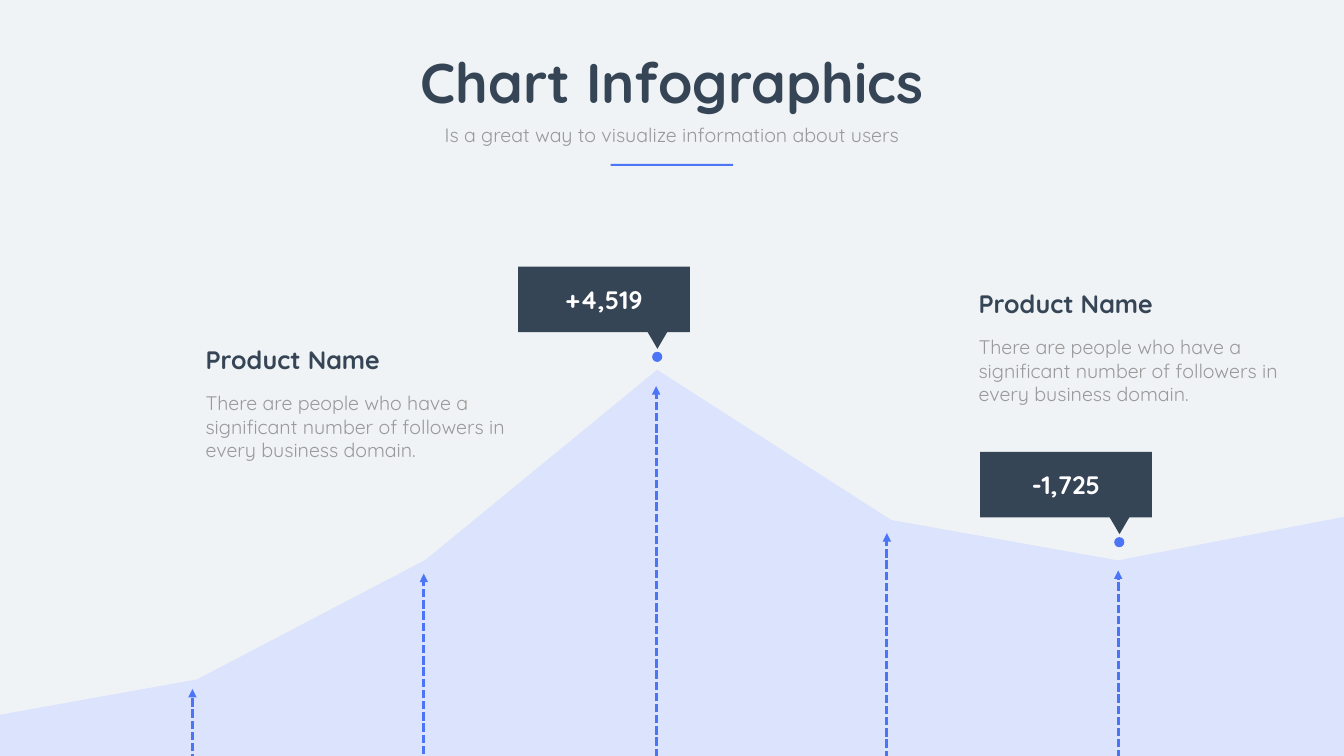
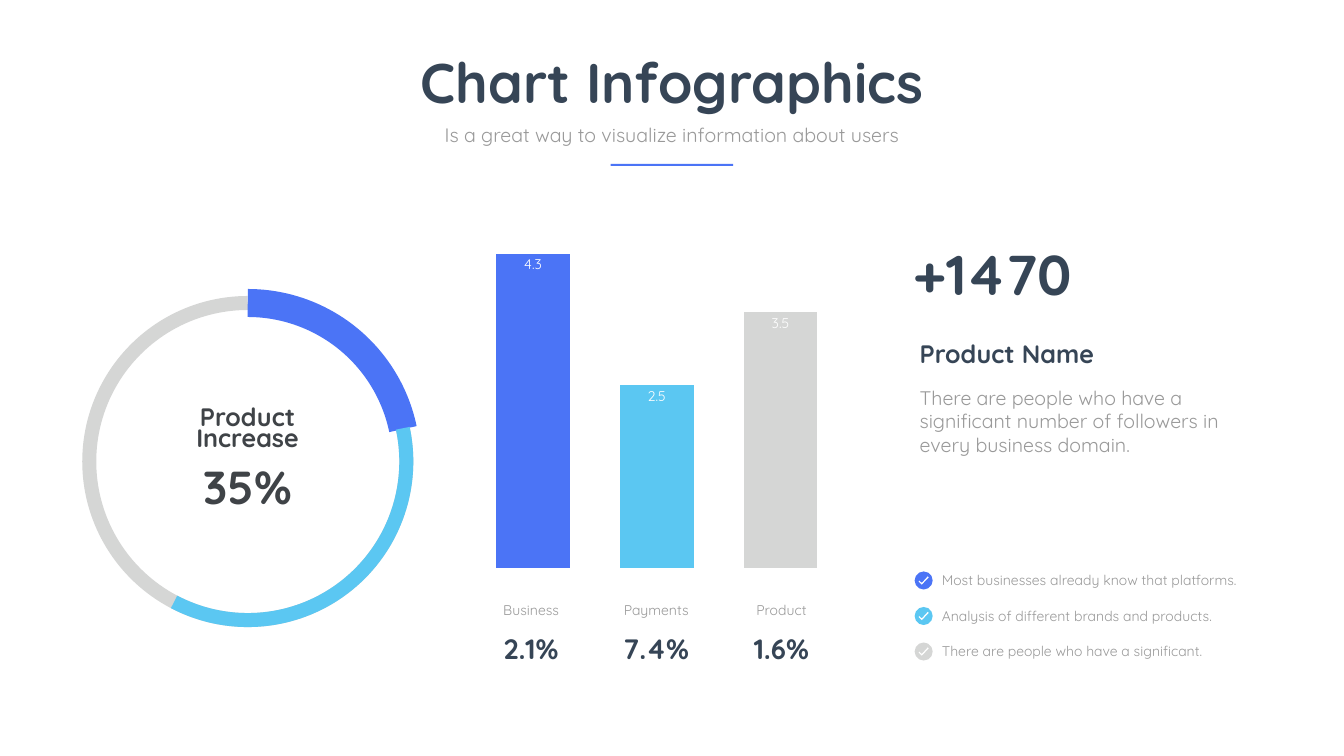
"""Build two chart infographic slides: a growth curve and a share overview."""
from dataclasses import dataclass

from lxml.etree import SubElement
from pptx import Presentation
from pptx.chart.data import CategoryChartData
from pptx.dml.color import RGBColor
from pptx.enum.chart import XL_CHART_TYPE as ChartType, XL_LABEL_POSITION as LabelPos
from pptx.enum.dml import MSO_LINE as Dash
from pptx.enum.shapes import MSO_CONNECTOR as Link, MSO_SHAPE as Kind
from pptx.enum.text import MSO_ANCHOR as Anchor, MSO_AUTO_SIZE as AutoSize, PP_ALIGN as Align
from pptx.oxml.ns import qn
from pptx.util import Cm, Pt

FONT = "Quicksand"
NAVY, BLUE, SKY, SILVER = "364556", "4B74F6", "5BC7F2", "D5D6D5"
GREY, CHARCOAL, WHITE, MIST, LAVENDER = "999999", "3F4347", "FFFFFF", "EDF0F3", "DBE3FD"
BLURB = "There are people who have a significant number of followers in every business domain."
CHECK_STEP = 1.79
LABEL_STEP = 6.31


@dataclass(frozen=True)
class Box:
    x: float
    y: float
    w: float
    h: float

    def lengths(self) -> tuple:
        return Cm(self.x), Cm(self.y), Cm(self.w), Cm(self.h)


@dataclass(frozen=True)
class Style:
    size: float
    color: str
    bold: bool = False
    align: Align = Align.LEFT


@dataclass(frozen=True)
class Callout:
    x: float
    y: float
    value: str


@dataclass(frozen=True)
class Arrow:
    x: float
    bottom: float
    top: float


@dataclass(frozen=True)
class RingPart:
    start: float
    end: float
    width: float
    color: str


@dataclass(frozen=True)
class Bar:
    name: str
    value: float
    share: str
    color: str


@dataclass(frozen=True)
class Check:
    text: str
    color: str


TITLE = Style(80, NAVY, True, Align.CENTER)
SUBTITLE = Style(28, GREY, align=Align.CENTER)
HEADING = Style(36, NAVY, True)
BODY = Style(28, GREY)
BADGE = Style(36, WHITE, True, Align.CENTER)
RING_NAME = Style(36, CHARCOAL, True, Align.CENTER)
RING_VALUE = Style(66, CHARCOAL, True, Align.CENTER)
BIG_NUMBER = Style(80, NAVY, True)
SMALL = Style(20, GREY)
BAR_NAME = Style(20, GREY, align=Align.CENTER)
BAR_SHARE = Style(40, NAVY, True, Align.CENTER)

CURVE = [(-1.55, 36.3), (9.93, 34.24), (21.44, 28.22), (33.12, 18.64), (44.93, 26.21),
         (56.34, 28.24), (68.35, 25.93), (68.4, 40.97), (-1.55, 40.97)]
ARROWS = [Arrow(21.36, 43.08, 28.91), Arrow(44.7, 41.07, 26.87), Arrow(33.07, 43.23, 19.46),
          Arrow(56.36, 40.49, 28.75), Arrow(9.7, 40.69, 34.72)]
CALLOUTS = [Callout(49.4, 22.78, "-1,725"), Callout(26.11, 13.44, "+4,519")]
RING = [RingPart(270.1, 270, 20, SILVER), RingPart(270, 348.2, 40, BLUE),
        RingPart(347.9, 117.7, 20, SKY)]
BARS = [Bar("Business", 4.3, "2.1%", BLUE), Bar("Payments", 2.5, "7.4%", SKY),
        Bar("Product", 3.5, "1.6%", SILVER)]
CHECKS = [Check("Most businesses already know that platforms.", BLUE),
          Check("Analysis of different brands and products.", SKY),
          Check("There are people who have a significant.", SILVER)]
TICK = [(0.36, 0.58), (0.23, 0.46), (0.2, 0.51), (0.36, 0.66), (0.71, 0.3), (0.66, 0.25)]


def rgb(color: str) -> RGBColor:
    return RGBColor.from_string(color)


def set_font(font, style: Style) -> None:
    font.name, font.size, font.bold = FONT, Pt(style.size), style.bold
    font.color.rgb = rgb(style.color)


def write(tf, content: str, style: Style, anchor: Anchor = Anchor.TOP):
    tf.word_wrap = True
    tf.auto_size = AutoSize.SHAPE_TO_FIT_TEXT
    tf.vertical_anchor = anchor
    p = tf.paragraphs[0]
    p.text, p.alignment = content, style.align
    set_font(p.font, style)
    return p


def add_text(s, box: Box, content: str, style: Style):
    return write(s.shapes.add_textbox(*box.lengths()).text_frame, content, style)


def add_centred_text(s, box: Box, content: str, style: Style):
    tf = s.shapes.add_textbox(*box.lengths()).text_frame
    tf.margin_left = tf.margin_right = tf.margin_top = tf.margin_bottom = Cm(0.15)
    return write(tf, content, style, Anchor.MIDDLE)


def paint(sp, color: str):
    sp.shadow.inherit = False
    sp.fill.solid()
    sp.fill.fore_color.rgb = rgb(color)
    sp.line.fill.background()
    return sp


def add_shape(s, kind: Kind, box: Box, color: str):
    return paint(s.shapes.add_shape(kind, *box.lengths()), color)


def add_polygon(s, points: list, color: str, x: float = 0, y: float = 0):
    start, *rest = [(Cm(x + dx), Cm(y + dy)) for dx, dy in points]
    builder = s.shapes.build_freeform(*start)
    builder.add_line_segments(rest, close=True)
    return paint(builder.convert_to_shape(), color)


def add_header(s) -> None:
    title = s.shapes.title
    title.left, title.top, title.width, title.height = Box(17.48, 2.29, 32.79, 3.68).lengths()
    write(title.text_frame, "Chart Infographics", TITLE)
    title.element.getparent().append(title.element)
    add_text(s, Box(21.72, 6.05, 24.28, 1.45),
             "Is a great way to visualize information about users", SUBTITLE)
    add_shape(s, Kind.RECTANGLE, Box(30.78, 8.26, 6.17, 0.1), BLUE)


def add_product(s, x: float, y: float) -> None:
    add_text(s, Box(x, y, 16, 1.8), "Product Name", HEADING)
    add_text(s, Box(x, y + 2.36, 16, 3.84), BLURB, BODY)


def add_arrow(s, arrow: Arrow) -> None:
    x = Cm(arrow.x)
    cxn = s.shapes.add_connector(Link.STRAIGHT, x, Cm(arrow.bottom), x, Cm(arrow.top))
    cxn.line.color.rgb = rgb(BLUE)
    cxn.line.width = Pt(4)
    cxn.line.dash_style = Dash.SQUARE_DOT
    sp_pr = cxn.element.spPr
    SubElement(sp_pr.find(qn("a:ln")), qn("a:tailEnd"), type="triangle")
    SubElement(sp_pr, qn("a:effectLst"))


def add_callout(s, callout: Callout) -> None:
    x, y = callout.x, callout.y
    add_shape(s, Kind.RECTANGLE, Box(x, y, 8.66, 3.3), NAVY)
    pointer = add_shape(s, Kind.ISOSCELES_TRIANGLE, Box(x + 6.3, y + 2.9, 1.45, 1.24), NAVY)
    pointer.rotation = 180
    add_shape(s, Kind.OVAL, Box(x + 6.76, y + 4.29, 0.51, 0.51), BLUE)
    add_text(s, Box(x + 0.94, y + 0.76, 6.78, 1.8), callout.value, BADGE)


def add_ring_part(s, part: RingPart) -> None:
    sp = s.shapes.add_shape(Kind.ARC, *Box(4.5, 15.27, 15.98, 15.98).lengths())
    sp.shadow.inherit = False
    sp.fill.background()
    sp.line.color.rgb = rgb(part.color)
    sp.line.width = Pt(part.width)
    for i, angle in enumerate((part.start, part.end)):
        sp.adjustments[i] = angle * 0.6


def fill_frame(chart) -> None:
    area = chart.element.find(".//" + qn("c:plotArea"))
    for old in area.findall(qn("c:layout")):
        area.remove(old)
    layout = SubElement(area, qn("c:layout"))
    area.insert(0, layout)
    manual = SubElement(layout, qn("c:manualLayout"))
    for tag, val in (("layoutTarget", "inner"), ("xMode", "edge"), ("yMode", "edge"),
                     ("x", "0"), ("y", "0"), ("w", "1"), ("h", "1")):
        SubElement(manual, qn(f"c:{tag}"), val=val)


def add_bars(s) -> None:
    data = CategoryChartData(number_format="0.0")
    data.categories = [bar.name for bar in BARS]
    data.add_series("Value", [bar.value for bar in BARS])
    frame = Box(23.75, 12.78, 18.71, 15.85)
    chart = s.shapes.add_chart(ChartType.COLUMN_CLUSTERED, *frame.lengths(), data).chart
    chart.has_legend = chart.has_title = False
    set_font(chart.font, SMALL)
    axis = chart.value_axis
    axis.minimum_scale, axis.maximum_scale = 0, max(bar.value for bar in BARS)
    axis.has_major_gridlines = False
    axis.visible = chart.category_axis.visible = False
    fill_frame(chart)
    plot = chart.plots[0]
    plot.gap_width = 68
    plot.vary_by_categories = False
    plot.has_data_labels = True
    labels = plot.data_labels
    labels.show_value = True
    labels.number_format, labels.number_format_is_linked = "0.0", False
    labels.position = LabelPos.INSIDE_END
    set_font(labels.font, Style(20, WHITE))
    for i, bar in enumerate(BARS):
        fill = plot.series[0].points[i].format.fill
        fill.solid()
        fill.fore_color.rgb = rgb(bar.color)
        centre = 26.77 + i * LABEL_STEP
        add_text(s, Box(centre - 3.28, 31.7, 6.55, 1.96), bar.share, BAR_SHARE)
        add_text(s, Box(centre - 1.98, 30.18, 3.96, 1.12), bar.name, BAR_NAME)


def add_check(s, check: Check, y: float) -> None:
    x = 46.1
    add_shape(s, Kind.OVAL, Box(x, y, 0.91, 0.91), check.color)
    add_polygon(s, TICK, WHITE, x, y)
    add_text(s, Box(x + 1.12, y - 0.12, 16.05, 1.12), check.text, SMALL)


def build_curve_slide(s) -> None:
    backdrop = add_shape(s, Kind.RECTANGLE, Box(-0.41, 0, 68.81, 41.07), MIST)
    SubElement(backdrop.element.spPr.find(".//" + qn("a:srgbClr")), qn("a:alpha"), val="78000")
    add_polygon(s, CURVE, LAVENDER)
    for arrow in ARROWS:
        add_arrow(s, arrow)
    for callout in CALLOUTS:
        add_callout(s, callout)
    add_product(s, 10.11, 17.22)
    add_product(s, 49.07, 14.4)
    add_header(s)


def build_share_slide(s) -> None:
    add_bars(s)
    for part in RING:
        add_ring_part(s, part)
    name = add_centred_text(s, Box(8.74, 20.5, 7.47, 2.44), "Product Increase", RING_NAME)
    name.line_spacing = 0.7
    add_centred_text(s, Box(8.74, 22.94, 7.47, 3.1), "35%", RING_VALUE)
    add_centred_text(s, Box(45.9, 11.91, 16, 3.71), "+1470", BIG_NUMBER)
    add_product(s, 46.1, 16.94)
    for i, check in enumerate(CHECKS):
        add_check(s, check, 28.8 + i * CHECK_STEP)
    add_header(s)


def main() -> None:
    prs = Presentation()
    prs.slide_width, prs.slide_height = Cm(67.74), Cm(38.1)
    for build in (build_curve_slide, build_share_slide):
        build(prs.slides.add_slide(prs.slide_layouts[5]))
    prs.save("out.pptx")


if __name__ == "__main__":
    main()
